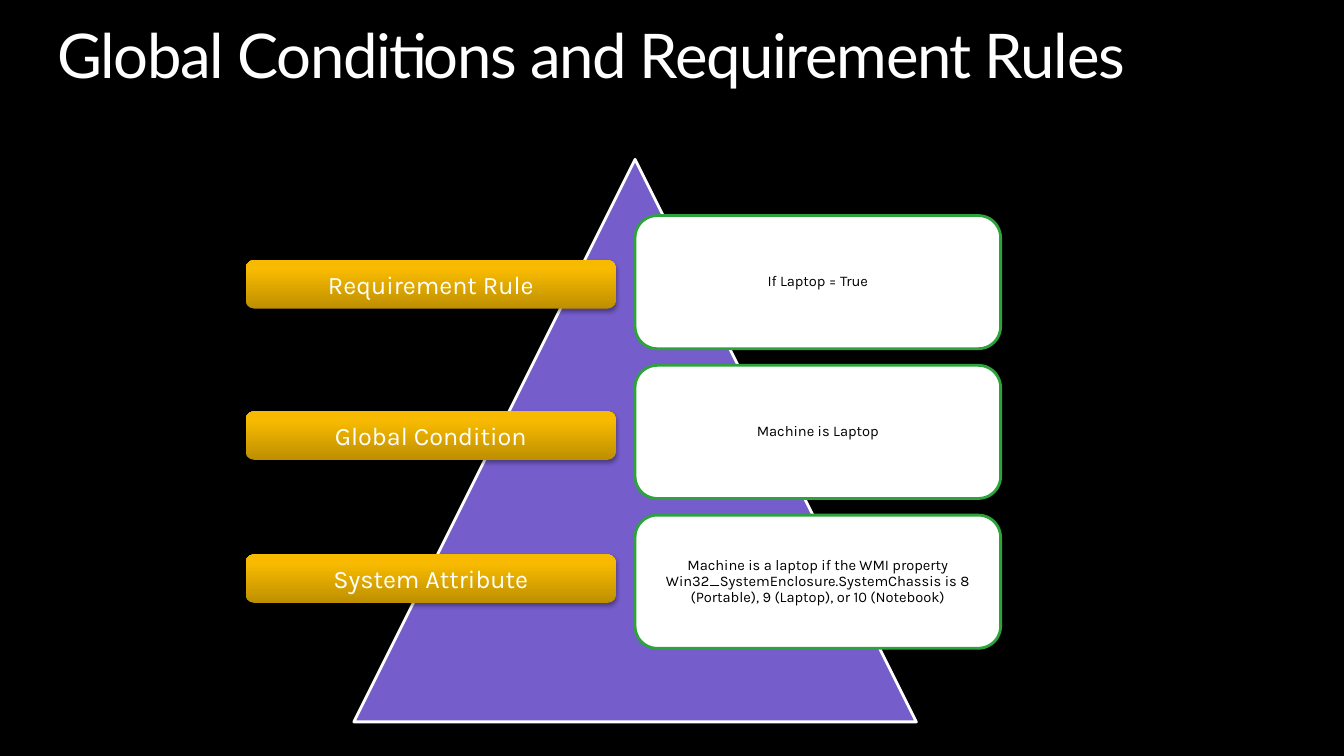
from copy import deepcopy
from dataclasses import dataclass

from lxml.etree import SubElement
from pptx import Presentation
from pptx.dml.color import RGBColor
from pptx.enum.shapes import MSO_SHAPE
from pptx.enum.text import MSO_ANCHOR, MSO_AUTO_SIZE, PP_ALIGN
from pptx.oxml.ns import qn
from pptx.util import Pt

TITLE = "Global Conditions and Requirement Rules"
# Bar label, top of the bar, card text
LEVELS = [
    ("Requirement Rule", 185.8, "If Laptop = True"),
    ("Global Condition", 293.8, "Machine is Laptop"),
    ("System Attribute", 396, "Machine is a laptop if the WMI property "
     "Win32_SystemEnclosure.SystemChassis is 8 (Portable), 9 (Laptop), or 10 (Notebook)"),
]


@dataclass(frozen=True)
class Theme:
    black: str = "000000"
    white: str = "FFFFFF"
    pyramid: str = "755DCB"
    card_line: str = "2DA33B"
    bar_stops: tuple = ((0, "BE8F00"), (0.8, "F7BA00"), (1, "F8BB00"))
    title_font: str = "Lato"
    body_font: str = "Karla"
    title_size: float = 44
    bar_size: float = 18
    card_size: float = 10.5
    line_width: float = 2


THEME = Theme()

# Pyramid square; the cards start at its centre line and scale with its side
PYRAMID_LEFT, PYRAMID_TOP, SIDE = 252.7, 113.8, 401.8
CARD_LEFT = PYRAMID_LEFT + SIDE / 2
CARD_TOP = PYRAMID_TOP + SIDE / 10
CARD_WIDTH, CARD_HEIGHT = SIDE * 0.65, 95.1
CARD_STEP = CARD_HEIGHT * 9 / 8
BAR_LEFT, BAR_WIDTH, BAR_HEIGHT = 175.7, 264.2, 34.6


def color(value):
    return RGBColor.from_string(value)


def write(shape, text, font, size, ink, align=PP_ALIGN.CENTER,
          anchor=MSO_ANCHOR.MIDDLE, margins=(3.6, 3.6), spacing=None):
    """Fill a shape with one paragraph; margins are horizontal, vertical."""
    frame = shape.text_frame
    frame.text = text
    frame.word_wrap = True
    frame.vertical_anchor = anchor
    frame.margin_left = frame.margin_right = Pt(margins[0])
    frame.margin_top = frame.margin_bottom = Pt(margins[1])
    paragraph = frame.paragraphs[0]
    paragraph.alignment = align
    paragraph.line_spacing = spacing
    run_font = paragraph.runs[0].font
    run_font.name = font
    run_font.size = Pt(size)
    run_font.color.rgb = color(ink)


def add_block(slide, kind, left, top, width, height):
    shape = slide.shapes.add_shape(kind, Pt(left), Pt(top), Pt(width), Pt(height))
    shape.shadow.inherit = False
    return shape


def paint(shape, fill, line):
    shape.fill.solid()
    shape.fill.fore_color.rgb = color(fill)
    shape.line.color.rgb = color(line)
    shape.line.width = Pt(THEME.line_width)


def paint_bar(shape):
    """Vertical gold gradient, no outline and a soft shadow below."""
    shape.line.fill.background()
    shape.fill.gradient()
    shape.fill.gradient_angle = 90
    properties = shape.element.spPr
    stop_list = properties.find(qn("a:gradFill")).find(qn("a:gsLst"))
    stop_list.append(deepcopy(stop_list[-1]))
    for stop, (position, value) in zip(shape.fill.gradient_stops, THEME.bar_stops):
        stop.position = position
        stop.color.rgb = color(value)
    shadow = SubElement(properties.find(qn("a:effectLst")), qn("a:outerShdw"),
                        blurRad=str(Pt(3.1)), dist=str(Pt(1.8)),
                        dir="5400000", rotWithShape="0")
    shadow_color = SubElement(shadow, qn("a:srgbClr"), val=THEME.black)
    SubElement(shadow_color, qn("a:alpha"), val="35000")


def add_title(slide):
    title = slide.shapes.title
    title.left, title.top, title.width, title.height = Pt(41), Pt(18), Pt(877.7), Pt(48)
    write(title, TITLE, THEME.title_font, THEME.title_size, THEME.white,
          PP_ALIGN.LEFT, MSO_ANCHOR.TOP, (0, 0), 0.9)
    title.text_frame.auto_size = MSO_AUTO_SIZE.SHAPE_TO_FIT_TEXT
    run = title.text_frame.paragraphs[0].runs[0]
    run.font._element.set("spc", "-100")


def main():
    presentation = Presentation()
    presentation.slide_width, presentation.slide_height = Pt(960), Pt(540)
    slide = presentation.slides.add_slide(presentation.slide_layouts[5])
    slide.background.fill.solid()
    slide.background.fill.fore_color.rgb = color(THEME.black)
    add_title(slide)

    pyramid = add_block(slide, MSO_SHAPE.ISOSCELES_TRIANGLE,
                        PYRAMID_LEFT, PYRAMID_TOP, SIDE, SIDE)
    paint(pyramid, THEME.pyramid, THEME.white)

    for index, (label, bar_top, detail) in enumerate(LEVELS):
        card = add_block(slide, MSO_SHAPE.ROUNDED_RECTANGLE, CARD_LEFT,
                         CARD_TOP + index * CARD_STEP, CARD_WIDTH, CARD_HEIGHT)
        paint(card, THEME.white, THEME.card_line)
        write(card, detail, THEME.body_font, THEME.card_size, THEME.black, spacing=0.9)

        bar = add_block(slide, MSO_SHAPE.ROUNDED_RECTANGLE,
                        BAR_LEFT, bar_top, BAR_WIDTH, BAR_HEIGHT)
        paint_bar(bar)
        write(bar, label, THEME.body_font, THEME.bar_size, THEME.white, margins=(7.2, 3.6))

    presentation.save("out.pptx")


if __name__ == "__main__":
    main()
